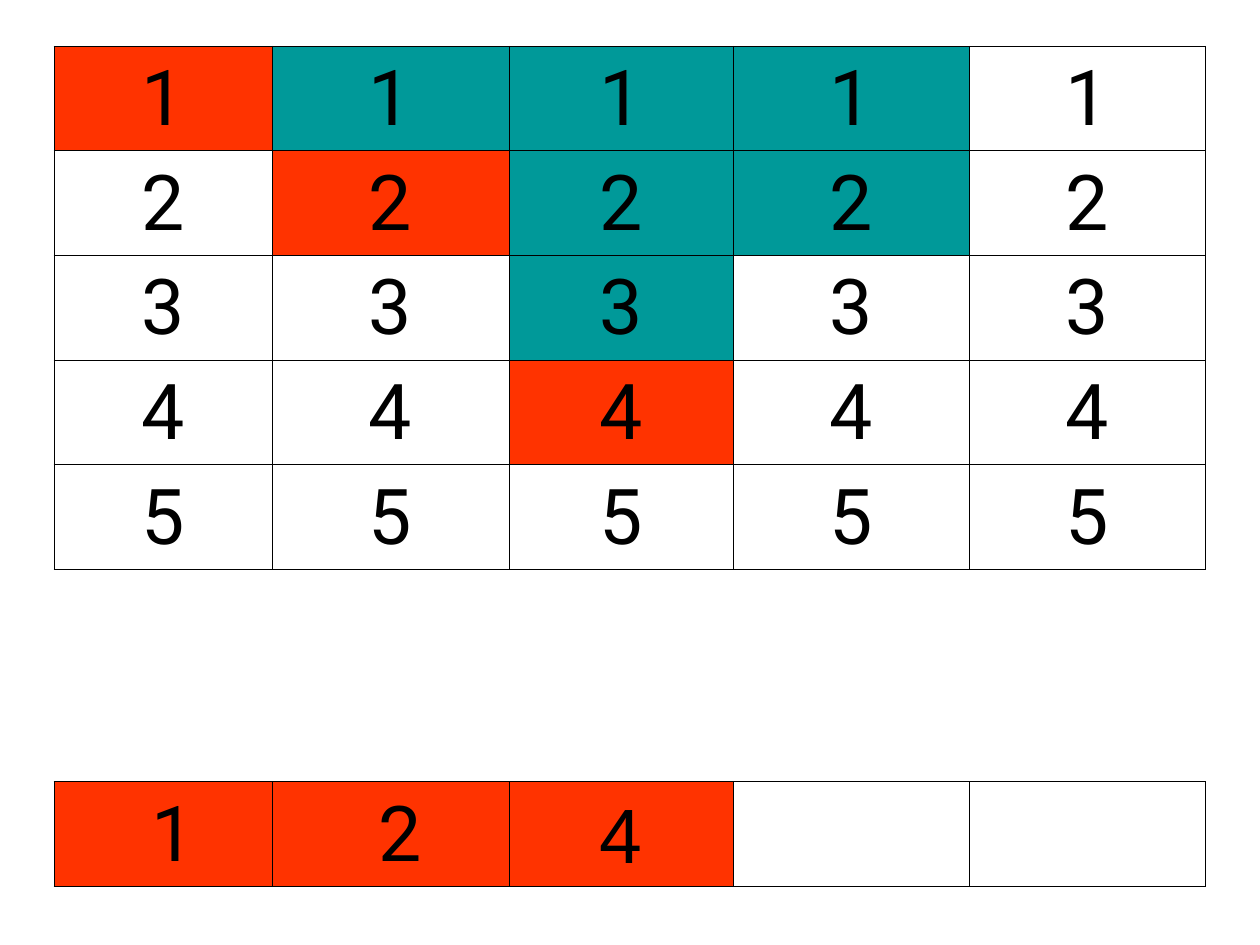
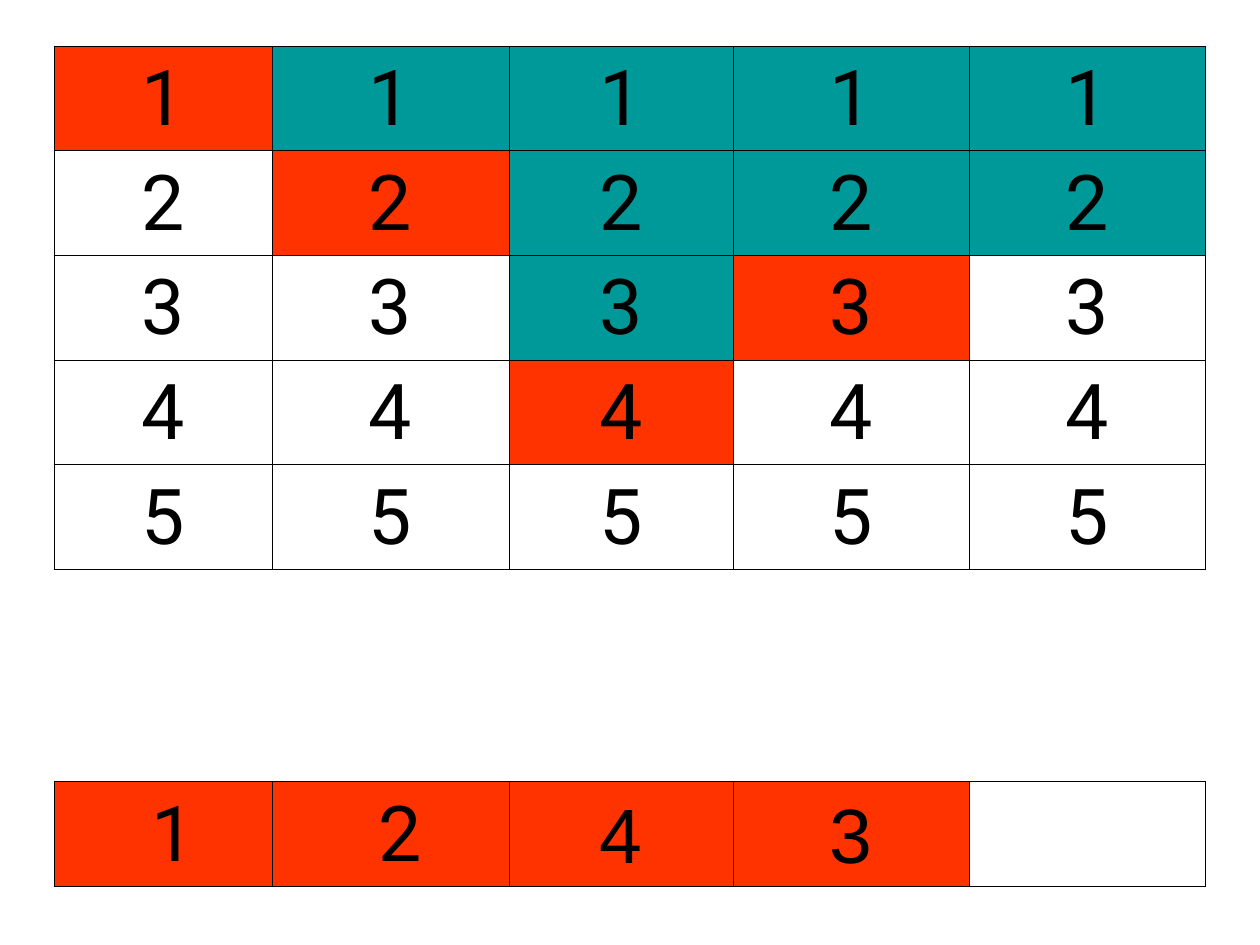
"""Builds two slides that step through choosing a permutation of five numbers."""
from dataclasses import dataclass

from lxml import etree
from pptx import Presentation
from pptx.dml.color import RGBColor
from pptx.enum.text import MSO_ANCHOR, PP_ALIGN
from pptx.oxml.ns import qn
from pptx.util import Cm, Pt

BOTTOM = MSO_ANCHOR.BOTTOM
CENTER = PP_ALIGN.CENTER
BLANK_LAYOUT = 6

COLUMN_WIDTHS = (4.4, 4.77, 4.52, 4.76, 4.76)
CANDIDATE_COUNT = 5
GAP_ROW = CANDIDATE_COUNT
RESULT_ROW = GAP_ROW + 1
ROW_HEIGHTS = (2.11,) * CANDIDATE_COUNT + (4.28, 2.11)
RESULT_LABELS = (" 1", " 2", "4", "3")


@dataclass(frozen=True)
class Theme:
    """Colours, fonts and sizes shared by the slides."""

    chosen: str = "FF3300"
    rejected: str = "009999"
    plain: str = "FFFFFF"
    ink: str = "000000"
    font: str = "Roboto"
    late_font: str = "Arial"
    size: int = 44
    border_width: float = 0.45


THEME = Theme()


@dataclass(frozen=True)
class Step:
    """Candidates rejected in each column and the number of columns settled."""

    rejected: tuple
    settled: int


STEPS = (
    Step(rejected=(0, 1, 3, 2, 0), settled=3),
    Step(rejected=(0, 1, 3, 2, 2), settled=4),
)


def set_borders(cell, visible_sides):
    """Draw thin lines on the given sides and clear the other sides."""
    properties = cell._tc.get_or_add_tcPr()
    for side in "LRTB":
        line = etree.SubElement(properties, qn(f"a:ln{side}"), w=str(Pt(THEME.border_width)))
        if side in visible_sides:
            fill = etree.SubElement(line, qn("a:solidFill"))
            etree.SubElement(fill, qn("a:srgbClr"), val=THEME.ink)
        else:
            etree.SubElement(line, qn("a:noFill"))


def fill_cell(cell, color):
    """Give a cell a solid colour."""
    cell.fill.solid()
    cell.fill.fore_color.rgb = RGBColor.from_string(color)


def write_number(cell, label, font_name):
    """Write a centred number at the bottom of a cell."""
    cell.vertical_anchor = BOTTOM
    para = cell.text_frame.paragraphs[0]
    para.alignment = CENTER
    span = para.add_run()
    span.text = label
    for name, value in {"name": font_name, "size": Pt(THEME.size)}.items():
        setattr(span.font, name, value)
    span.font.color.rgb = RGBColor.from_string(THEME.ink)


def candidate_color(step, row, column):
    """Return the colour that tells the state of a candidate."""
    rejected = step.rejected[column]
    if row < rejected:
        return THEME.rejected
    if row == rejected and column < step.settled:
        return THEME.chosen
    return THEME.plain


def add_grid(page):
    """Add the bordered table with its gap row and return it."""
    frame = page.shapes.add_table(
        len(ROW_HEIGHTS), len(COLUMN_WIDTHS), Cm(1.09), Cm(0.93),
        Cm(sum(COLUMN_WIDTHS)), Cm(sum(ROW_HEIGHTS)))
    table = frame.table
    for name in ("first_row", "horz_banding"):
        setattr(table, name, False)
    for column, width in zip(table.columns, COLUMN_WIDTHS):
        column.width = Cm(width)
    for index, (row, height) in enumerate(zip(table.rows, ROW_HEIGHTS)):
        row.height = Cm(height)
        for cell in row.cells:
            set_borders(cell, "TB" if index == GAP_ROW else "LRTB")
    return table


def add_candidates(table, step):
    """Fill the upper rows with the numbers tried in each column."""
    for row in range(CANDIDATE_COUNT):
        for column in range(len(COLUMN_WIDTHS)):
            cell = table.cell(row, column)
            fill_cell(cell, candidate_color(step, row, column))
            write_number(cell, str(row + 1), THEME.font)


def add_result(table, step):
    """Fill the bottom row with the numbers settled so far."""
    for column in range(len(COLUMN_WIDTHS)):
        table.cell(GAP_ROW, column).fill.background()
        cell = table.cell(RESULT_ROW, column)
        if column < step.settled:
            fill_cell(cell, THEME.chosen)
            font_name = THEME.font if column < 2 else THEME.late_font
            write_number(cell, RESULT_LABELS[column], font_name)
        else:
            fill_cell(cell, THEME.plain)


def main():
    """Build and save the deck."""
    deck = Presentation()
    deck.slide_width, deck.slide_height = Cm(25.4), Cm(19.05)
    for step in STEPS:
        page = deck.slides.add_slide(deck.slide_layouts[BLANK_LAYOUT])
        table = add_grid(page)
        add_candidates(table, step)
        add_result(table, step)
    deck.save("out.pptx")


if __name__ == "__main__":
    main()
